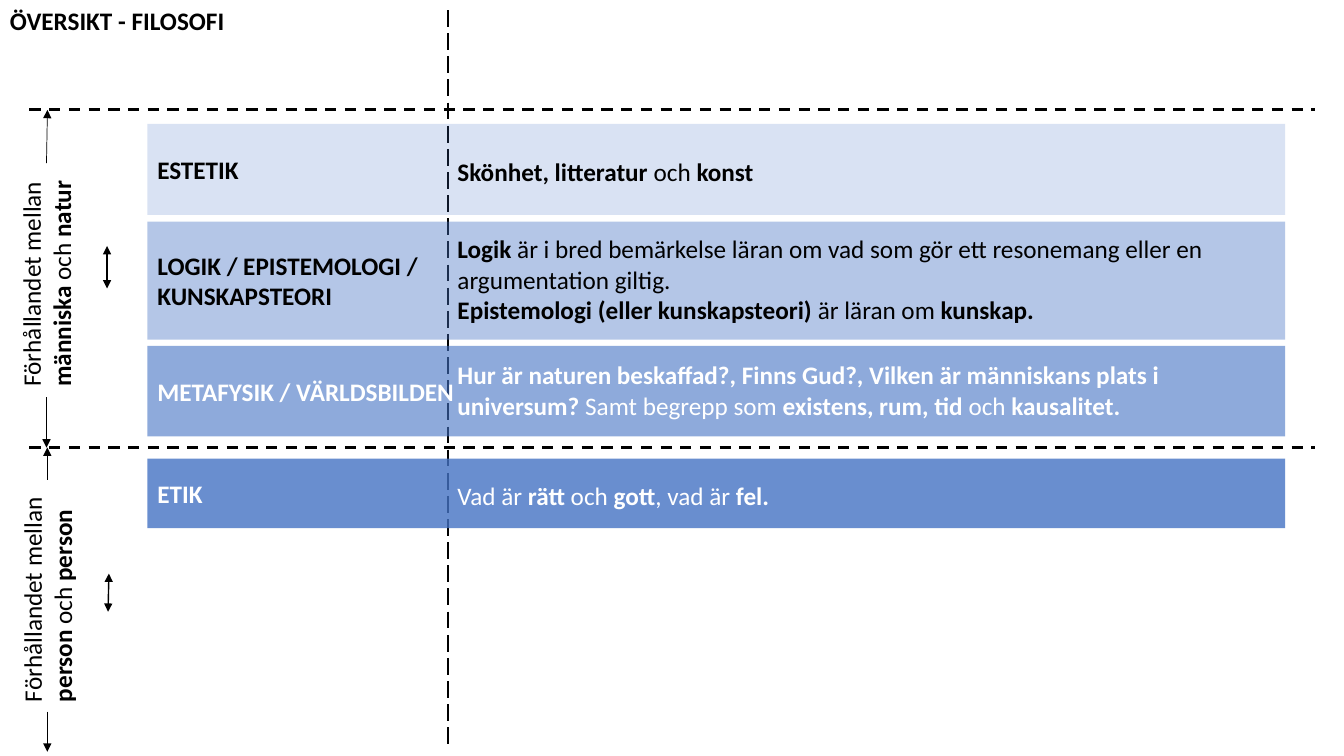
from lxml.etree import SubElement
from pptx import Presentation
from pptx.dml.color import RGBColor
from pptx.enum.dml import MSO_LINE
from pptx.enum.shapes import MSO_CONNECTOR, MSO_SHAPE
from pptx.enum.text import MSO_ANCHOR, PP_ALIGN
from pptx.oxml.ns import qn
from pptx.util import Pt

BLACK = RGBColor(0x00, 0x00, 0x00)
WHITE = RGBColor(0xFF, 0xFF, 0xFF)
BLUE = RGBColor(0x44, 0x72, 0xC4)

TITLE = [[("ÖVERSIKT - FILOSOFI", True)]]

BRANCHES = [
    dict(name=["ESTETIK"], top=88.5, height=65, opacity=20, color=BLACK,
         about_top=108, about_height=29,
         about=[[("Skönhet, litteratur ", True), ("och", False), (" konst", True)]]),
    dict(name=["LOGIK / EPISTEMOLOGI /", "KUNSKAPSTEORI"],
         top=158.4, height=84.2, opacity=40, color=BLACK,
         about_top=163.4, about_height=72.7,
         about=[[("Logik ", True),
                 ("är i bred bemärkelse läran om vad som gör ett resonemang "
                  "eller en argumentation giltig.", False)],
                [("Epistemologi (eller kunskapsteori) ", True),
                 ("är läran om ", False), ("kunskap.", True)]]),
    dict(name=["METAFYSIK / VÄRLDSBILDEN"],
         top=247, height=64.8, opacity=60, color=WHITE,
         about_top=253.4, about_height=51,
         about=[[("Hur är naturen beskaffad?, Finns Gud?, Vilken är människans "
                  "plats i universum? ", True),
                 ("Samt begrepp som ", False), ("existens, rum, tid ", True),
                 ("och", False), (" kausalitet.", True)]]),
    dict(name=["ETIK"], top=327.6, height=49.7, opacity=80, color=WHITE,
         about_top=339.8, about_height=29,
         about=[[("Vad är ", False), ("rätt", True), (" och ", False),
                 ("gott", True), (", vad är ", False), ("fel.", True)]]),
]

RELATIONS = [
    ("människa", "natur", (-50.4, 174.2, 167, 51)),
    ("person", "person", (-49, 400.3, 165.6, 51)),
]

DIVIDERS = [
    ((21, 78.5), (939.6, 78.5), 2, MSO_LINE.DASH),
    ((21, 319.7), (939.6, 319.7), 2, MSO_LINE.DASH),
    ((319.7, 7.2), (319.7, 532.8), 1.5, MSO_LINE.LONG_DASH),
]
EXCHANGES = [((76.5, 175.7), (76.5, 206)), ((77.8, 409.7), (77.2, 437))]
EXTENTS = [
    ((33.2, 116.6), (33.9, 78.5)),
    ((33.8, 342.7), (33.8, 319.7)),
    ((33.2, 283.7), (33.2, 319.7)),
    ((33.8, 508.3), (33.8, 537)),
]
BAND_LEFT, BAND_WIDTH = 105.3, 812.7
ABOUT_LEFT, ABOUT_WIDTH = 319.7, 598.3


def write(frame, paragraphs, color):
    for index, runs in enumerate(paragraphs):
        paragraph = frame.paragraphs[0] if index == 0 else frame.add_paragraph()
        paragraph.alignment = PP_ALIGN.LEFT
        for text, bold in runs:
            run = paragraph.add_run()
            run.text = text
            run.font.name = "Calibri"
            run.font.size = Pt(18)
            run.font.bold = bold
            run.font.color.rgb = color


def add_text(slide, box, paragraphs, color, wrap=True):
    area = slide.shapes.add_textbox(*map(Pt, box))
    area.text_frame.word_wrap = wrap
    write(area.text_frame, paragraphs, color)
    return area


def add_line(slide, start, end, width, dash=None, arrows=()):
    line = slide.shapes.add_connector(
        MSO_CONNECTOR.STRAIGHT, *map(Pt, start + end))
    line.line.color.rgb = BLACK
    line.line.width = Pt(width)
    if dash:
        line.line.dash_style = dash
    properties = line.line._get_or_add_ln()
    for end_tag in arrows:
        SubElement(properties, qn(end_tag), type="triangle")
    SubElement(line._element.spPr, qn("a:effectLst"))


def add_band(slide, branch):
    band = slide.shapes.add_shape(
        MSO_SHAPE.RECTANGLE, Pt(BAND_LEFT), Pt(branch["top"]),
        Pt(BAND_WIDTH), Pt(branch["height"]))
    band.shadow.inherit = False
    band.line.fill.background()
    band.fill.solid()
    band.fill.fore_color.rgb = BLUE
    color = band._element.spPr.find(qn("a:solidFill"))[0]
    SubElement(color, qn("a:alpha"), val=str(branch["opacity"] * 1000))
    band.text_frame.word_wrap = True
    band.text_frame.vertical_anchor = MSO_ANCHOR.MIDDLE
    write(band.text_frame, [[(text, True)] for text in branch["name"]], branch["color"])


def main():
    deck = Presentation()
    deck.slide_width, deck.slide_height = Pt(960), Pt(540)
    slide = deck.slides.add_slide(deck.slide_layouts[6])

    add_text(slide, (0, 0, 169.2, 29), TITLE, BLACK, wrap=False)
    for start, end, width, dash in DIVIDERS:
        add_line(slide, start, end, width, dash)
    for branch in BRANCHES:
        add_band(slide, branch)
        add_text(slide, (ABOUT_LEFT, branch["about_top"], ABOUT_WIDTH,
                         branch["about_height"]), branch["about"], branch["color"])
    for first, second, box in RELATIONS:
        relation = [[("Förhållandet mellan ", False), (first, True),
                     (" och ", False), (second, True)]]
        add_text(slide, box, relation, BLACK).rotation = 270
    for start, end in EXCHANGES:
        add_line(slide, start, end, 1, arrows=("a:headEnd", "a:tailEnd"))
    for start, end in EXTENTS:
        add_line(slide, start, end, 0.5, arrows=("a:tailEnd",))

    deck.save("out.pptx")


if __name__ == "__main__":
    main()
